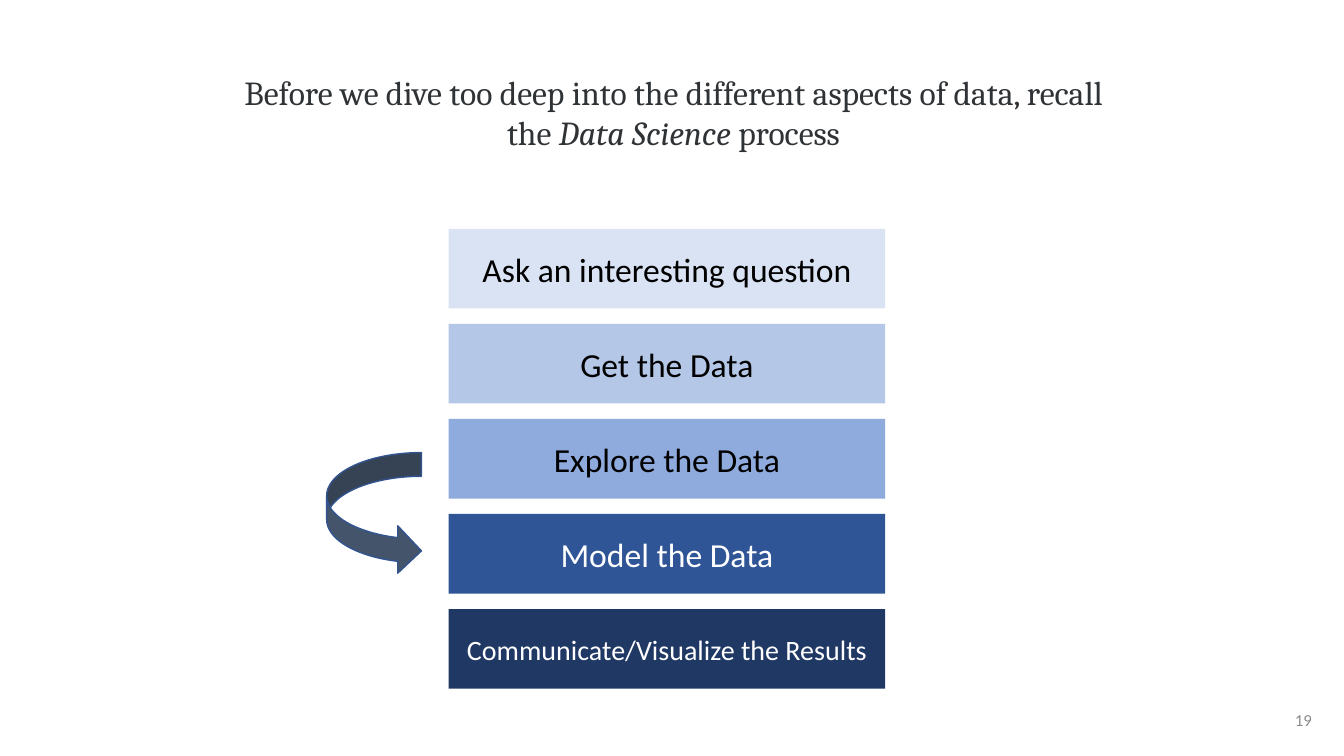
from pptx import Presentation
from pptx.dml.color import RGBColor
from pptx.enum.shapes import MSO_SHAPE as Shape
from pptx.enum.text import MSO_ANCHOR as Anchor, MSO_AUTO_SIZE as AutoSize, PP_ALIGN as Align
from pptx.util import Inches, Pt

COLORS = {
    "title": "303336",
    "dark_text": "000000",
    "light_text": "FFFFFF",
    "ask": "DAE3F3",
    "get": "B4C7E7",
    "explore": "8FAADC",
    "model": "2F5597",
    "communicate": "203864",
    "arrow": "44546A",
    "arrow_line": "325491",
    "number": "8C8C8C",
}

STEPS = [
    ("Ask an interesting question", "ask", "dark_text", 24),
    ("Get the Data", "get", "dark_text", 24),
    ("Explore the Data", "explore", "dark_text", 24),
    ("Model the Data", "model", "light_text", 24),
    ("Communicate/Visualize the Results", "communicate", "light_text", 20),
]
STEP_LEFT, STEP_TOP, STEP_WIDTH, STEP_HEIGHT = 4.45, 2.27, 4.33, 0.79
STEP_PITCH = 0.943


def color(name):
    return RGBColor.from_string(COLORS[name])


def style_font(font, face, size, color_name):
    font.name = face
    font.size = Pt(size)
    font.color.rgb = color(color_name)


def place(shape, left, top, width, height):
    shape.left, shape.top = Inches(left), Inches(top)
    shape.width, shape.height = Inches(width), Inches(height)


def write_line(frame, text, align, size, color_name):
    frame.text = text
    frame.vertical_anchor = Anchor.MIDDLE
    para = frame.paragraphs[0]
    para.alignment = align
    style_font(para.runs[0].font, "Calibri", size, color_name)


def add_title(page):
    title = page.shapes.title
    place(title, 2.14, 0.66, 9.08, 0.91)
    frame = title.text_frame
    frame.word_wrap = True
    frame.auto_size = AutoSize.NONE
    frame.vertical_anchor = Anchor.TOP
    para = frame.paragraphs[0]
    para.alignment = Align.CENTER
    for text, italic in [
        ("Before we dive too deep into the different aspects of data, recall the ", False),
        ("Data Science ", True),
        ("process", False),
    ]:
        span = para.add_run()
        span.text = text
        style_font(span.font, "Cambria", 24, "title")
        span.font.italic = italic


def add_filled_shape(page, kind, left, top, width, height, fill):
    shape = page.shapes.add_shape(
        kind, Inches(left), Inches(top), Inches(width), Inches(height))
    shape.shadow.inherit = False
    shape.fill.solid()
    shape.fill.fore_color.rgb = color(fill)
    shape.line.fill.background()
    return shape


def add_step(page, index, text, fill, text_color, size):
    box = add_filled_shape(page, Shape.RECTANGLE, STEP_LEFT,
                           STEP_TOP + index * STEP_PITCH, STEP_WIDTH, STEP_HEIGHT, fill)
    write_line(box.text_frame, text, Align.CENTER, size, text_color)


def add_loop_arrow(page):
    arrow = add_filled_shape(page, Shape.CURVED_RIGHT_ARROW, 3.24, 4.49, 0.94, 1.21, "arrow")
    arrow.line.color.rgb = color("arrow_line")
    arrow.line.width = Pt(1)


def add_page_number(page):
    box = page.shapes.add_textbox(Inches(12.56), Inches(6.94), Inches(0.55), Inches(0.4))
    box.text_frame.word_wrap = True
    write_line(box.text_frame, "19", Align.RIGHT, 12, "number")


def main():
    deck = Presentation()
    deck.slide_width, deck.slide_height = Inches(13.33), Inches(7.5)
    page = deck.slides.add_slide(deck.slide_layouts.get_by_name("Title Only"))
    add_title(page)
    for index, step in enumerate(STEPS):
        add_step(page, index, *step)
    add_loop_arrow(page)
    add_page_number(page)
    deck.save("out.pptx")


if __name__ == "__main__":
    main()
